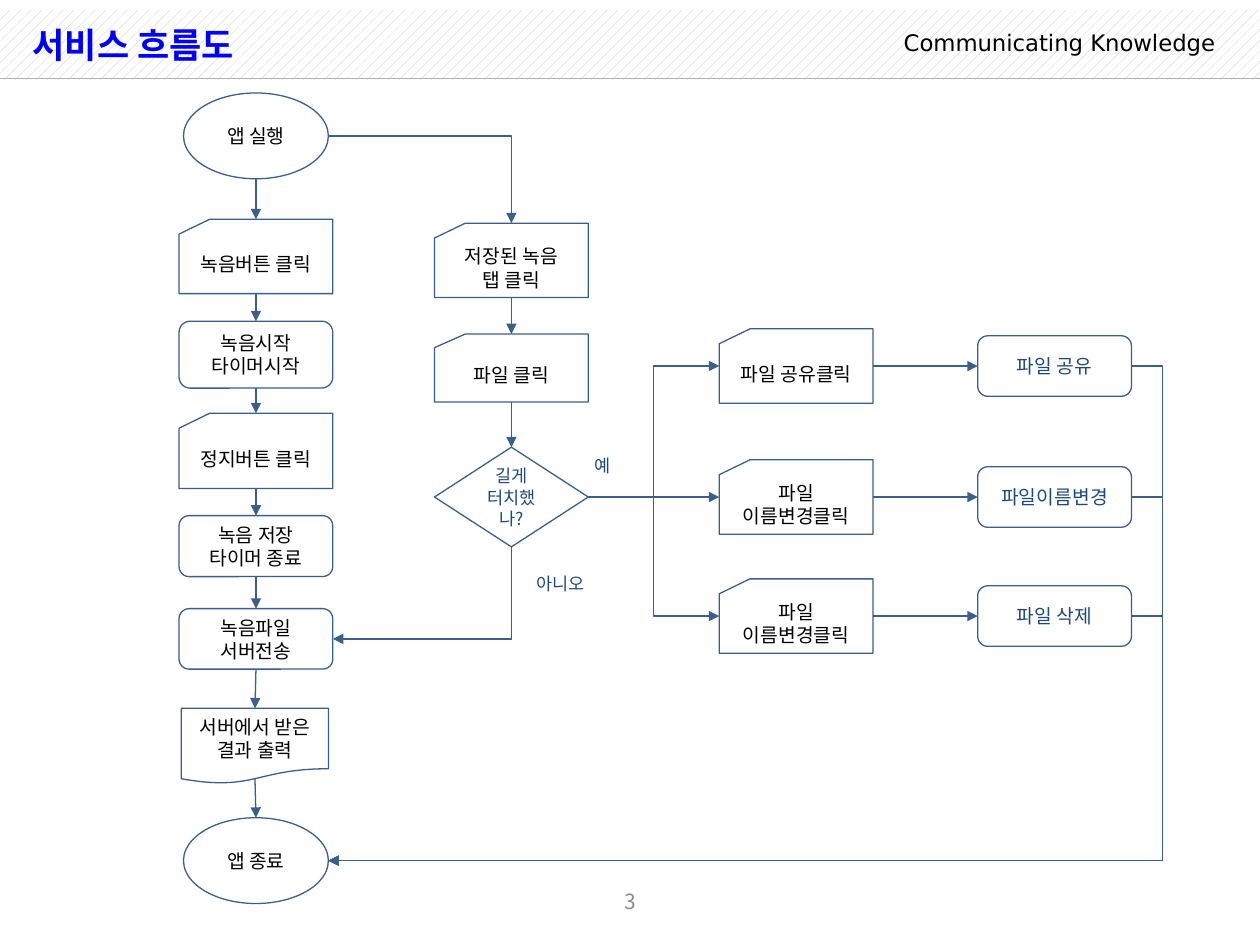
from typing import NamedTuple

from lxml import etree
from pptx import Presentation
from pptx import util as u
from pptx.dml.color import RGBColor
from pptx.enum import dml, shapes, text
from pptx.oxml import ns

NAVY = RGBColor(0x3A, 0x5F, 0x8C)
INK = RGBColor(0x1F, 0x49, 0x7D)
BLACK = RGBColor(0, 0, 0)
WHITE = RGBColor(255, 255, 255)
BLUE = RGBColor(0, 0, 255)
GREY = RGBColor(0x8C, 0x8C, 0x8C)
RULE = RGBColor(0xB2, 0xB2, 0xB2)
HATCH = RGBColor(0xC0, 0xC0, 0xC0)
SANS = "DejaVu Sans"
KOREAN = "Noto Sans CJK KR"

KIND = shapes.MSO_SHAPE
OVAL, ROUND = KIND.OVAL, KIND.ROUNDED_RECTANGLE
CARD, PAGE = KIND.FLOWCHART_CARD, KIND.FLOWCHART_DOCUMENT
ASK = KIND.FLOWCHART_DECISION
LEFT, MID, RIGHT = text.PP_ALIGN.LEFT, text.PP_ALIGN.CENTER, text.PP_ALIGN.RIGHT
TOP, CENTRE = text.MSO_ANCHOR.TOP, text.MSO_ANCHOR.MIDDLE
COL = (5.16, 10.31, 16.05, 21.26)
ROW = (7.38, 10.02, 12.42)
TURN = 23.44


class Node(NamedTuple):
    kind: int
    x: float
    y: float
    h: float
    words: str
    w: float = 3.1
    color: RGBColor = BLACK
    size: float = 11

    def side(self, name: str) -> tuple[float, float]:
        base = 0.43 if self.kind == PAGE else 0.5
        dx, dy = {"l": (-0.5, 0), "r": (0.5, 0), "t": (0, -0.5), "b": (0, base)}[name]
        return self.x + dx * self.w, self.y + dy * self.h


class Link(NamedTuple):
    start: str
    out: str
    end: str
    into: str
    bend: str = ""


class Label(NamedTuple):
    box: tuple[float, float, float, float]
    words: str
    size: float
    color: RGBColor
    face: str = KOREAN
    align: int = LEFT
    anchor: int = TOP
    bold: bool = False
    wrap: bool = True
    gap: float = 1.0


NODES = {
    "open": Node(OVAL, COL[0], 2.74, 1.73, "앱 실행", 2.92),
    "rec": Node(CARD, COL[0], 5.17, 1.5, "녹음버튼 클릭"),
    "begin": Node(ROUND, COL[0], 7.15, 1.35, "녹음시작\v타이머시작"),
    "stop": Node(CARD, COL[0], 9.09, 1.52, "정지버튼 클릭"),
    "save": Node(ROUND, COL[0], 11.01, 1.23, "녹음 저장\v타이머 종료"),
    "send": Node(ROUND, COL[0], 12.88, 1.22, "녹음파일\n서버전송"),
    "show": Node(PAGE, COL[0] - 0.02, 15.04, 1.52, "서버에서 받은 결과 출력", 2.97),
    "close": Node(OVAL, COL[0], 17.35, 1.73, "앱 종료", 2.92),
    "tab": Node(CARD, COL[1], 5.25, 1.5, "저장된 녹음\n탭 클릭"),
    "file": Node(CARD, COL[1], 7.42, 1.37, "파일 클릭"),
    "hold": Node(ASK, COL[1], ROW[1], 2.01, "길게 터치했나?", color=INK, size=10),
}
LINKS = [
    Link("open", "r", "tab", "t", "corner"),
    Link("hold", "b", "send", "r", "drop"),
]
for chain in (("open", "rec", "begin", "stop", "save", "send", "show", "close"),
              ("tab", "file", "hold")):
    LINKS += [Link(a, "b", b, "t") for a, b in zip(chain, chain[1:])]

ACTS = (("파일 공유클릭", "파일 공유"),
        ("파일 이름변경클릭", "파일이름변경"),
        ("파일 이름변경클릭", "파일 삭제"))
for i, (y, (tap, act)) in enumerate(zip(ROW, ACTS)):
    NODES[f"tap{i}"] = Node(CARD, COL[2], y, 1.5, tap)
    NODES[f"act{i}"] = Node(ROUND, COL[3], y, 1.22, act, color=INK)
    LINKS += [
        Link("hold", "r", f"tap{i}", "l", "" if y == ROW[1] else "mid"),
        Link(f"tap{i}", "r", f"act{i}", "l"),
        Link(f"act{i}", "r", "close", "r", "back"),
    ]

LABELS = (
    Label((17.86, 0.56, 6.88, 0.71), "Communicating Knowledge", 13, BLACK, SANS,
          RIGHT, gap=0.8),
    Label((0.41, 0.2, 17.65, 1.4), "서비스 흐름도", 20, BLUE, anchor=CENTRE, bold=True),
    Label((0.41, 17.65, 24.61, 1.02), "3", 12, GREY, align=MID, anchor=CENTRE),
    Label((11.73, 9.04, 0.86, 0.69), "예", 10, INK, wrap=False),
    Label((10.57, 11.43, 1.63, 0.69), "아니오", 10, INK, wrap=False),
)


def apply(item, form: dict) -> None:
    for key, value in form.items():
        setattr(item, key, value)


def write(frame, words: str, form: dict, color: RGBColor, para: dict) -> None:
    frame.text = words
    for line in frame.paragraphs:
        apply(line, para)
        for run in line.runs:
            apply(run.font, form)
            run.font.color.rgb = color
            face = etree.SubElement(run.font._element, ns.qn("a:ea"))
            face.set("typeface", form["name"])


def draw_node(slide, node: Node) -> None:
    box = (node.x - node.w / 2, node.y - node.h / 2, node.w, node.h)
    shape = slide.shapes.add_shape(node.kind, *map(u.Cm, box))
    shape.shadow.inherit = False
    shape.fill.solid()
    shape.fill.fore_color.rgb = WHITE
    shape.line.color.rgb = NAVY
    shape.line.width = u.Pt(0.75)
    apply(shape.text_frame, {"word_wrap": True, "vertical_anchor": CENTRE})
    write(shape.text_frame, node.words, {"name": KOREAN, "size": u.Pt(node.size)},
          node.color, {"alignment": MID})


def draw_label(slide, label: Label) -> None:
    frame = slide.shapes.add_textbox(*map(u.Cm, label.box)).text_frame
    apply(frame, {"word_wrap": label.wrap, "vertical_anchor": label.anchor})
    form = {"name": label.face, "size": u.Pt(label.size), "bold": label.bold}
    write(frame, label.words, form, label.color,
          {"alignment": label.align, "line_spacing": label.gap})


def draw_line(slide, kind: int, a: tuple, b: tuple, color: RGBColor):
    line = slide.shapes.add_connector(kind, *map(u.Cm, (*a, *b)))
    line.line.color.rgb = color
    line.line.width = u.Pt(0.75)
    etree.SubElement(line._element.spPr, ns.qn("a:effectLst"))
    return line


def draw_link(slide, link: Link) -> None:
    a = NODES[link.start].side(link.out)
    b = NODES[link.end].side(link.into)
    start, end = a, b
    if link.bend == "drop":
        mx, my = (a[0] + b[0]) / 2, (a[1] + b[1]) / 2
        dx, dy = (b[1] - a[1]) / 2, (a[0] - b[0]) / 2
        start, end = (mx - dx, my - dy), (mx + dx, my + dy)
    kind = shapes.MSO_CONNECTOR.ELBOW if link.bend else shapes.MSO_CONNECTOR.STRAIGHT
    line = draw_line(slide, kind, start, end, NAVY)
    tip = etree.SubElement(line.line._get_or_add_ln(), ns.qn("a:tailEnd"))
    tip.set("type", "triangle")
    props = line._element.spPr
    geom = props.find(ns.qn("a:prstGeom"))
    if link.bend in ("corner", "drop"):
        geom.set("prst", "bentConnector2")
    if link.bend == "drop":
        props.find(ns.qn("a:xfrm")).set("rot", "5400000")
    if link.bend == "back":
        ratio = round((TURN - a[0]) / (b[0] - a[0]) * 100000)
        guide = etree.SubElement(geom.find(ns.qn("a:avLst")), ns.qn("a:gd"))
        guide.set("name", "adj1")
        guide.set("fmla", f"val {ratio}")


def draw_band(slide) -> None:
    band = slide.shapes.add_shape(KIND.RECTANGLE, *map(u.Cm, (0, 0.2, 25.4, 1.42)))
    band.shadow.inherit = False
    band.line.fill.background()
    band.fill.patterned()
    band.fill.pattern = dml.MSO_PATTERN.PERCENT_20
    band.fill.fore_color.rgb = HATCH
    band.fill.back_color.rgb = WHITE
    draw_line(slide, shapes.MSO_CONNECTOR.STRAIGHT, (0, 1.58), (25.4, 1.58), RULE)


deck = Presentation()
apply(deck, {"slide_width": u.Cm(25.4), "slide_height": u.Cm(19.05)})
page = deck.slides.add_slide(deck.slide_layouts[6])
draw_band(page)
for label in LABELS:
    draw_label(page, label)
for node in NODES.values():
    draw_node(page, node)
for link in LINKS:
    draw_link(page, link)
deck.save("out.pptx")
